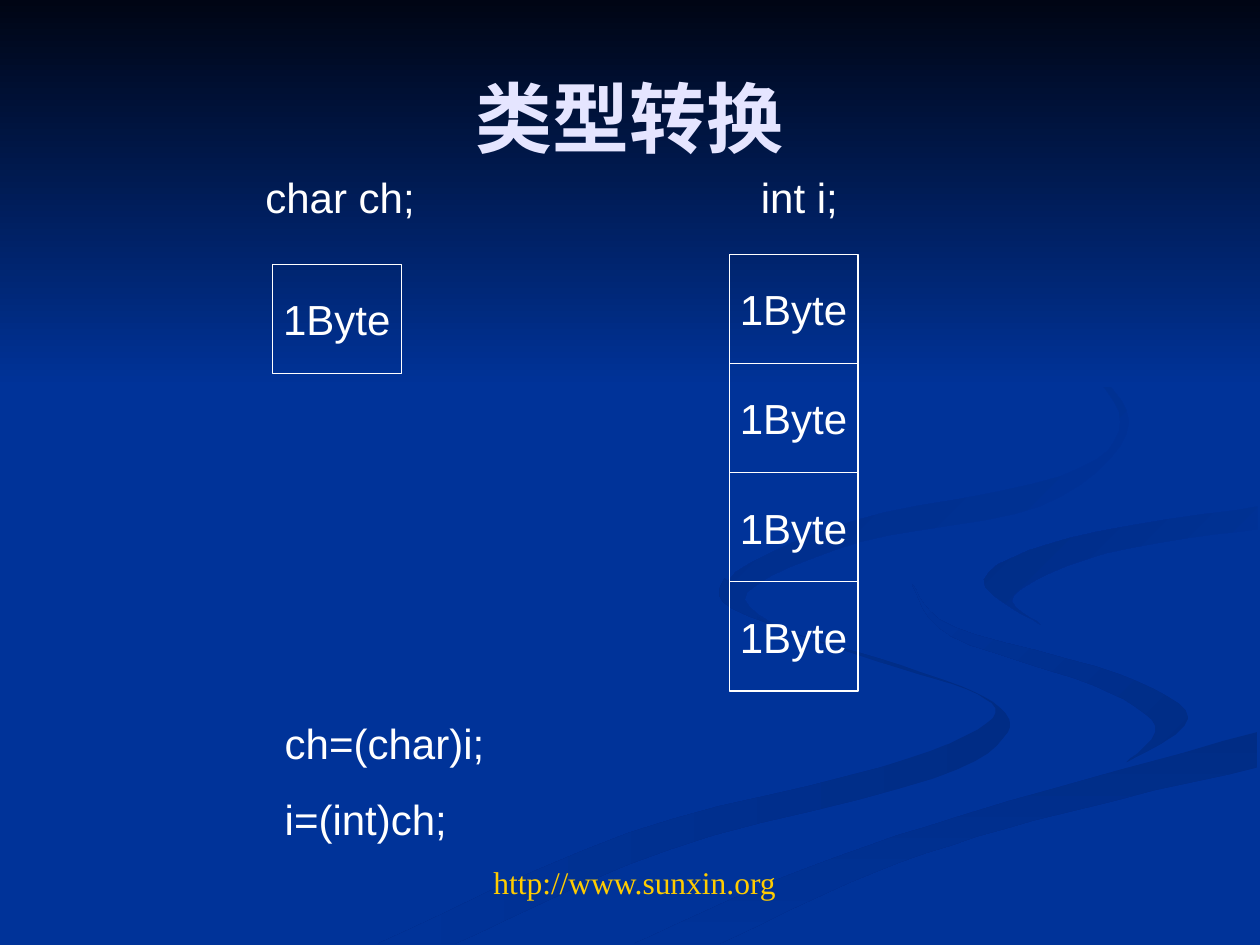
from dataclasses import dataclass

import pptx
import pptx.dml.color
import pptx.enum.shapes
import pptx.enum.text
import pptx.util

Cm, Pt = pptx.util.Cm, pptx.util.Pt
PP_ALIGN = pptx.enum.text.PP_ALIGN
RECT = pptx.enum.shapes.MSO_SHAPE.RECTANGLE


@dataclass(frozen=True)
class Theme:
    blue: str = "003399"
    dusk: str = "002C85"
    night: str = "000514"
    title: str = "E5E5FF"
    text: str = "FFFFFF"
    link: str = "FFCC00"
    sans: str = "Arial"
    serif: str = "Times New Roman"
    title_size: int = 44
    body_size: int = 24
    link_size: int = 18
    gap: int = 15


THEME = Theme()
SWIRL_UNIT = Cm(0.0254)
STEPS = 6

# Each swirl: start colour, end colour, clockwise angle, knots of its two edges.
SWIRLS = [
    (THEME.dusk, THEME.blue, 180,
     [(575, 459), (614, 496), (715, 528), (781, 553), (800, 581), (740, 618),
      (532, 674), (361, 749)],
     [(575, 459), (581, 483), (697, 525), (776, 551), (783, 574), (699, 609),
      (499, 661), (300, 749)]),
    (THEME.dusk, THEME.blue, 225,
     [(724, 464), (758, 498), (888, 535), (943, 570), (894, 605)],
     [(724, 464), (755, 505), (868, 544), (917, 576), (894, 605)]),
    (THEME.dusk, THEME.blue, 90,
     [(503, 749), (630, 693), (764, 647), (998, 581)],
     [(571, 749), (695, 692), (821, 651), (998, 609)]),
    (THEME.blue, THEME.dusk, 225,
     [(826, 496), (781, 460), (849, 427), (998, 402)],
     [(826, 496), (805, 472), (878, 439), (998, 420)]),
    (THEME.blue, THEME.dusk, 225,
     [(762, 233), (864, 291), (894, 344), (825, 402), (683, 430), (593, 470),
      (622, 500)],
     [(762, 233), (846, 279), (889, 335), (842, 378), (676, 414), (577, 462),
      (622, 500)]),
]


def rgb(code):
    return pptx.dml.color.RGBColor.from_string(code)


def smooth_edge(knots):
    """Return points of a Catmull-Rom curve through the knots."""
    ends = [knots[0], *knots, knots[-1]]
    points = []
    for a, b, c, d in zip(ends, ends[1:], ends[2:], ends[3:]):
        for t in (i / STEPS for i in range(STEPS)):
            points.append(tuple(
                q + t * (r - p + t * (2 * p - 5 * q + 4 * r - u
                                      + t * (3 * q - p - 3 * r + u))) / 2
                for p, q, r, u in zip(a, b, c, d)))
    return points + [knots[-1]]


def shade(shape, start, end, angle):
    """Fill without outline; the angle runs clockwise."""
    shape.shadow.inherit = False
    shape.line.fill.background()
    shape.fill.gradient()
    shape.fill.gradient_angle = -angle % 360
    for stop, code in zip(shape.fill.gradient_stops, (start, end)):
        stop.color.rgb = rgb(code)


def write(shape, text, size=THEME.body_size, font=THEME.sans, color=THEME.text,
          align=PP_ALIGN.LEFT, bold=False, middle=False, wrap=True):
    tf = shape.text_frame
    tf.text = text
    tf.word_wrap = wrap
    anchor = pptx.enum.text.MSO_ANCHOR
    tf.vertical_anchor = anchor.MIDDLE if middle else anchor.TOP
    for i, p in enumerate(tf.paragraphs):
        p.alignment = align
        if i:
            p.space_before = Pt(THEME.gap)
        for r in p.runs:
            r.font.size, r.font.name, r.font.bold = Pt(size), font, bold
            r.font.color.rgb = rgb(color)


def add_text(s, box, text, **style):
    write(s.shapes.add_textbox(*box), text, **style)


def add_backdrop(s, box):
    left, top, width, height = box
    s.background.fill.solid()
    s.background.fill.fore_color.rgb = rgb(THEME.blue)
    for start, end, angle, edge, other_edge in SWIRLS:
        outline = smooth_edge(edge) + smooth_edge(other_edge)[::-1]
        builder = s.shapes.build_freeform(*outline[0], scale=SWIRL_UNIT)
        builder.add_line_segments(outline[1:], close=True)
        shade(builder.convert_to_shape(left, top), start, end, angle)
    sky = s.shapes.add_shape(RECT, left, top, width, int(height * 0.41))
    shade(sky, THEME.night, THEME.blue, 90)


def add_bytes(s, box, count):
    """Stack equal byte cells from top to bottom of the box."""
    left, top, width, height = box
    cell = height // count
    for i in range(count):
        sp = s.shapes.add_shape(RECT, left, top + i * cell, width, cell)
        sp.shadow.inherit = False
        sp.fill.background()
        sp.line.color.rgb = rgb(THEME.text)
        sp.line.width = Pt(0.75)
        write(sp, "1Byte", align=PP_ALIGN.CENTER, middle=True, wrap=False)


def main():
    prs = pptx.Presentation()
    prs.slide_width, prs.slide_height = Cm(25.4), Cm(19.05)
    s = prs.slides.add_slide(prs.slide_layouts[6])
    add_backdrop(s, (0, 0, prs.slide_width, prs.slide_height))
    add_text(s, (Cm(1.27), Cm(0.76), Cm(22.86), Cm(3.18)), "类型转换",
             size=THEME.title_size, font=THEME.serif, color=THEME.title,
             align=PP_ALIGN.CENTER, bold=True, middle=True)
    add_text(s, (Cm(5.1), Cm(3.33), Cm(3.61), Cm(1.27)), "char ch;")
    add_text(s, (Cm(15.09), Cm(3.33), Cm(3), Cm(1.27)), "int i;")
    add_bytes(s, (Cm(5.49), Cm(5.33), Cm(2.6), Cm(2.2)), 1)
    add_text(s, (Cm(5.49), Cm(14.33), Cm(14.2), Cm(2.82)), "ch=(char)i;\ni=(int)ch;")
    add_bytes(s, (Cm(14.7), Cm(5.13), Cm(2.6), Cm(8.8)), 4)
    add_text(s, (Cm(4.5), Cm(17.27), Cm(16.59), Cm(1.02)), "http://www.sunxin.org",
             size=THEME.link_size, font=THEME.serif, color=THEME.link,
             align=PP_ALIGN.CENTER)
    prs.save("out.pptx")


if __name__ == "__main__":
    main()
